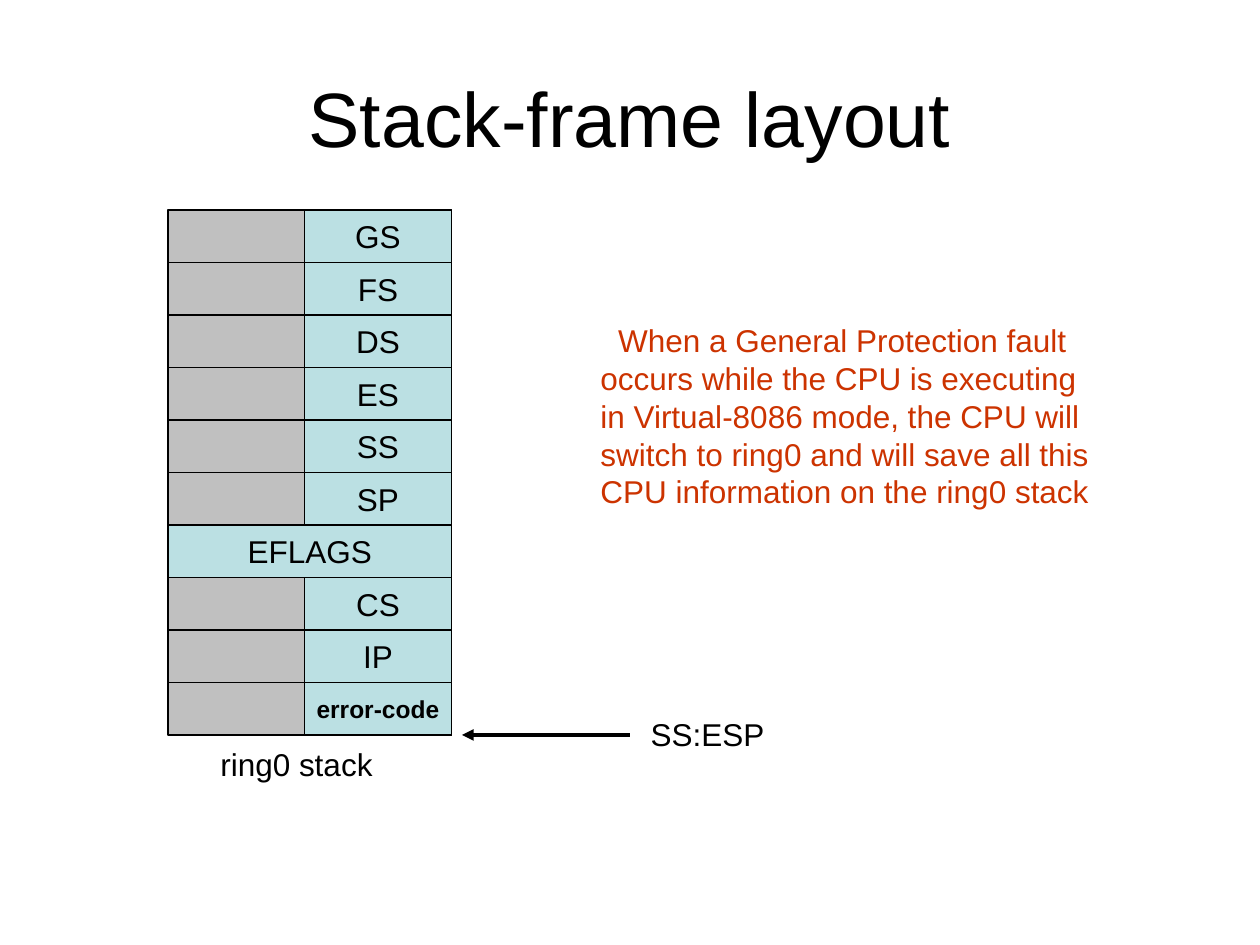
import pptx
import pptx.dml.color
import pptx.enum.shapes
import pptx.enum.text
import pptx.oxml
import pptx.oxml.ns
import pptx.util

BLACK = pptx.dml.color.RGBColor(0x00, 0x00, 0x00)
GREY = pptx.dml.color.RGBColor(0xC0, 0xC0, 0xC0)
TEAL = pptx.dml.color.RGBColor(0xBB, 0xE0, 0xE3)
RUST = pptx.dml.color.RGBColor(0xCC, 0x33, 0x00)
CENTER = pptx.enum.text.PP_ALIGN.CENTER
LEFT = pptx.enum.text.PP_ALIGN.LEFT
MIDDLE = pptx.enum.text.MSO_ANCHOR.MIDDLE
TOP = pptx.enum.text.MSO_ANCHOR.TOP

REGISTERS = ["GS", "FS", "DS", "ES", "SS", "SP", "EFLAGS", "CS", "IP", "error-code"]
EXPLANATION = """When a General Protection fault
occurs while the CPU is executing
in Virtual-8086 mode, the CPU will
switch to ring0 and will save all this
CPU information on the ring0 stack"""


def px(length):
    return pptx.util.Emu(length * 7620)


def write(frame, text, size=18, color=BLACK, bold=False, align=LEFT, anchor=TOP,
          wrap=False, indent=0):
    frame.word_wrap = wrap
    frame.vertical_anchor = anchor
    for index, line in enumerate(text.split("\n")):
        para = frame.add_paragraph() if index else frame.paragraphs[0]
        para.alignment = align
        if indent and index == 0:
            para._p.get_or_add_pPr().set("indent", str(px(indent)))
        span = para.add_run()
        span.text = line
        span.font.name = "Arial"
        span.font.size = pptx.util.Pt(size)
        span.font.bold = bold
        span.font.color.rgb = color


class Sketch:
    """Draws styled elements on the current slide."""

    def __init__(self, page):
        self.page = page
        self.border = pptx.util.Pt(0.75)
        self.stroke = pptx.util.Pt(2.25)

    def label(self, left, top, width, height, text, **style):
        box = self.page.shapes.add_textbox(px(left), px(top), px(width), px(height))
        write(box.text_frame, text, **style)

    def cell(self, left, top, width, height, fill, text="", **style):
        box = self.page.shapes.add_shape(
            pptx.enum.shapes.MSO_SHAPE.RECTANGLE,
            px(left), px(top), px(width), px(height))
        box.shadow.inherit = False
        box.fill.solid()
        box.fill.fore_color.rgb = fill
        box.line.color.rgb = BLACK
        box.line.width = self.border
        if text:
            write(box.text_frame, text, align=CENTER, anchor=MIDDLE, **style)

    def arrow(self, tip, end, y):
        line = self.page.shapes.add_connector(
            pptx.enum.shapes.MSO_CONNECTOR.STRAIGHT, px(tip), px(y), px(end), px(y))
        line.line.color.rgb = BLACK
        line.line.width = self.stroke
        head = pptx.oxml.parse_xml(
            f'<a:headEnd {pptx.oxml.ns.nsdecls("a")} type="triangle"/>')
        line.line._get_or_add_ln().append(head)
        effects = pptx.oxml.parse_xml(f'<a:effectLst {pptx.oxml.ns.nsdecls("a")}/>')
        line._element.spPr.append(effects)


def main():
    deck = pptx.Presentation()
    deck.slide_width, deck.slide_height = px(1200), px(900)
    sketch = Sketch(deck.slides.add_slide(deck.slide_layouts[6]))

    sketch.label(60, 36, 1080, 150, "Stack-frame layout",
                 size=44, align=CENTER, anchor=MIDDLE, wrap=True)

    left, top, width, row_height, register_width = 160, 200, 270, 50, 140
    for row, register in enumerate(REGISTERS):
        y = top + row * row_height
        if register == "EFLAGS":
            sketch.cell(left, y, width, row_height, TEAL, register)
            continue
        style = {"size": 14, "bold": True} if register == "error-code" else {}
        sketch.cell(left, y, width, row_height, GREY)
        sketch.cell(left + width - register_width, y, register_width, row_height,
                    TEAL, register, **style)

    bottom = top + len(REGISTERS) * row_height
    sketch.arrow(440, 600, bottom)
    sketch.label(608, 675, 132, 48, "SS:ESP")
    sketch.label(198, 704, 169, 48, "ring0 stack")
    sketch.label(560, 300, 497, 192, EXPLANATION, color=RUST, indent=17)
    deck.save("out.pptx")


if __name__ == "__main__":
    main()
